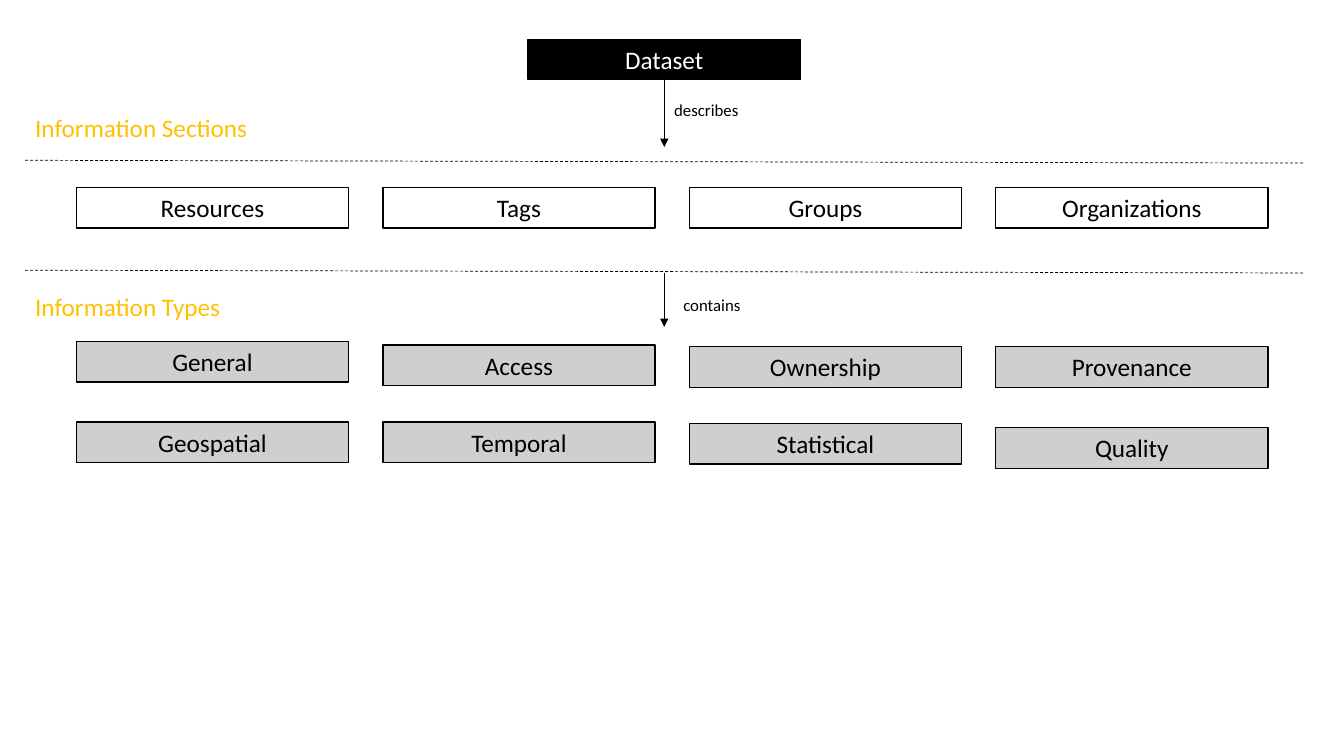
from pptx import Presentation
from pptx.util import Pt
from pptx.dml.color import RGBColor
from pptx.enum.dml import MSO_LINE
from pptx.enum.shapes import MSO_CONNECTOR, MSO_SHAPE
from pptx.enum.text import MSO_ANCHOR, MSO_AUTO_SIZE, PP_ALIGN
from pptx.oxml.ns import qn
from lxml.etree import SubElement

BLACK = RGBColor(0x00, 0x00, 0x00)
WHITE = RGBColor(0xFF, 0xFF, 0xFF)
GREY = RGBColor(0xD0, 0xCE, 0xCE)
GOLD = RGBColor(0xFF, 0xC0, 0x00)
FONT = "Calibri"

# Content: each row has a fill and (name, top) pairs
ROWS = [
    (WHITE, [("Resources", 134), ("Tags", 134),
             ("Groups", 134), ("Organizations", 134)]),
    (GREY, [("General", 244), ("Access", 246.4),
            ("Ownership", 247.6), ("Provenance", 247.6)]),
    (GREY, [("Geospatial", 301.5), ("Temporal", 301.5),
            ("Statistical", 302.5), ("Quality", 305.5)]),
]
# Label, left, top, width, height, size, colour
LABELS = [
    ("Information Sections", 18, 76.5, 168, 29, 18, GOLD),
    ("Information Types", 18, 204.5, 148, 29, 18, GOLD),
    ("describes", 474.5, 68, 61, 21.6, 12, BLACK),
    ("contains", 481, 207, 56, 21.6, 12, BLACK),
]
RULES = [114.5, 193]
ARROWS = [(57, 105), (195, 233.5)]

# Layout
WIDE, HIGH = 194.4, 29
LEFT, STEP = 54.6, 218.9
MID = 474.5

deck = Presentation()
deck.slide_width, deck.slide_height = Pt(960), Pt(540)
slide = deck.slides.add_slide(deck.slide_layouts[6])
shapes = slide.shapes


def write(shape, text, size, color, align):
    frame = shape.text_frame
    frame.text = text
    frame.auto_size = MSO_AUTO_SIZE.SHAPE_TO_FIT_TEXT
    para = frame.paragraphs[0]
    para.alignment = align
    font = para.runs[0].font
    font.name, font.size = FONT, Pt(size)
    font.color.rgb = color


def add_box(text, left, top, fill, color):
    box = shapes.add_shape(MSO_SHAPE.RECTANGLE,
                           Pt(left), Pt(top), Pt(WIDE), Pt(HIGH))
    box.shadow.inherit = False
    box.fill.solid()
    box.fill.fore_color.rgb = fill
    box.line.color.rgb = BLACK
    box.line.width = Pt(1)
    box.text_frame.word_wrap = True
    box.text_frame.vertical_anchor = MSO_ANCHOR.TOP
    write(box, text, 18, color, PP_ALIGN.CENTER)


def add_line(x1, y1, x2, y2):
    line = shapes.add_connector(MSO_CONNECTOR.STRAIGHT,
                                Pt(x1), Pt(y1), Pt(x2), Pt(y2))
    line.line.color.rgb = BLACK
    line.line.width = Pt(0.5)
    SubElement(line._element.spPr, qn("a:effectLst"))
    return line.line


# Boxes
add_box("Dataset", MID - WIDE / 2, 28, BLACK, WHITE)
for fill, row in ROWS:
    for col, (name, top) in enumerate(row):
        add_box(name, LEFT + col * STEP, top, fill, BLACK)

# Dashed dividers, sloping slightly down
for top in RULES:
    add_line(18, top, 931, top + 2).dash_style = MSO_LINE.DASH

# Arrows
for start, end in ARROWS:
    line = add_line(MID, start, MID, end)
    SubElement(line._get_or_add_ln(), qn("a:tailEnd"), type="triangle")

# Labels
for text, left, top, wide, high, size, color in LABELS:
    label = shapes.add_textbox(Pt(left), Pt(top), Pt(wide), Pt(high))
    label.text_frame.word_wrap = False
    write(label, text, size, color, PP_ALIGN.LEFT)

deck.save("out.pptx")
